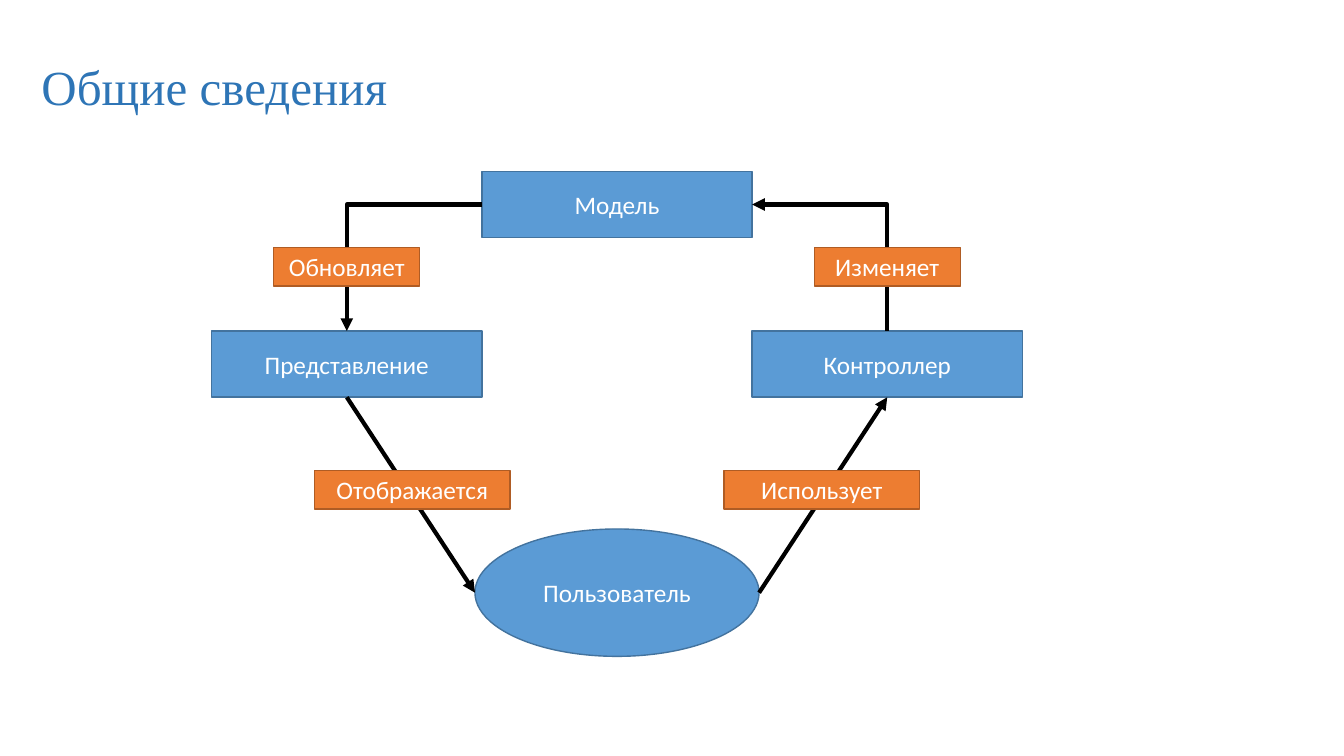
from pptx import Presentation
from pptx.dml.color import RGBColor
from pptx.enum import shapes, text
from pptx.oxml.ns import qn
from pptx.util import Cm, Pt
from lxml import etree

RECT = shapes.MSO_SHAPE.RECTANGLE
OVAL = shapes.MSO_SHAPE.OVAL
TOP, LEFT, BOTTOM, RIGHT = range(4)
MID = 15.55   # centre line of the diagram
STEP = 6.81   # from the centre line to a side column


def color(code):
    return RGBColor.from_string(code)


def node(kind, label, mid, top, wide, high, fill, edge):
    box = slide.shapes.add_shape(
        kind, Cm(mid - wide / 2), Cm(top), Cm(wide), Cm(high))
    box.shadow.inherit = False
    box.fill.solid()
    box.fill.fore_color.rgb = color(fill)
    box.line.color.rgb = color(edge)
    box.line.width = Pt(1)
    frame = box.text_frame
    frame.text = label
    frame.vertical_anchor = text.MSO_ANCHOR.MIDDLE
    para = frame.paragraphs[0]
    para.alignment = text.PP_ALIGN.CENTER
    font = para.runs[0].font
    font.name, font.size = "Calibri", Pt(18)
    font.color.rgb = color("FFFFFF")
    return box


deck = Presentation()
deck.slide_width, deck.slide_height = Cm(33.87), Cm(19.05)
slide = deck.slides.add_slide(deck.slide_layouts[5])

# Title
title = slide.shapes.title
title.left, title.top, title.width, title.height = Cm(0.79), Cm(1.3), Cm(9.3), Cm(1.75)
frame = title.text_frame
frame.text = "Общие сведения"
frame.word_wrap = False
frame.auto_size = text.MSO_AUTO_SIZE.NONE
frame.vertical_anchor = text.MSO_ANCHOR.TOP
para = frame.paragraphs[0]
para.alignment = text.PP_ALIGN.LEFT
font = para.runs[0].font
font.name, font.size = "Times New Roman", Pt(35)
font.color.rgb = color("2E75B6")

# Components and user
blue = ("5B9BD5", "43739E")
model = node(RECT, "Модель", MID, 4.32, STEP, 1.67, *blue)
control = node(RECT, "Контроллер", MID + STEP, 8.34, STEP, 1.67, *blue)
view = node(RECT, "Представление", MID - STEP, 8.34, STEP, 1.67, *blue)
user = node(OVAL, "Пользователь", MID, 13.33, 7.16, 3.21, *blue)

# Arrows: the connector settles on the box sides it is glued to
bent, line = shapes.MSO_CONNECTOR.ELBOW, shapes.MSO_CONNECTOR.STRAIGHT
level = user.top + user.height // 2
edge = user.left + user.width
links = []
for kind, start, end in [
    (bent, (model, LEFT), (view, TOP)),
    (line, (view, BOTTOM), None),
    (line, None, (control, BOTTOM)),
    (bent, (control, TOP), (model, RIGHT)),
]:
    link = slide.shapes.add_connector(kind, edge, level, user.left, level)
    if start:
        link.begin_connect(*start)
    if end:
        link.end_connect(*end)
    link.line.color.rgb = color("000000")
    link.line.width = Pt(3)
    tip = etree.SubElement(link.line._get_or_add_ln(), qn("a:tailEnd"))
    tip.set("type", "triangle")
    props = link._element.spPr
    etree.SubElement(props, qn("a:effectLst"))
    if kind == bent:
        props.find(qn("a:prstGeom")).set("prst", "bentConnector2")
    links.append(link)

# The last elbow leaves upwards, so its frame is turned about its centre
turn = links[-1]
wide, high = turn.width, turn.height
turn.left += (wide - high) // 2
turn.top += (high - wide) // 2
turn.width, turn.height = high, wide
form = turn._element.spPr.find(qn("a:xfrm"))
form.set("rot", "16200000")
form.set("flipH", "0")
form.set("flipV", "1")

# Arrow labels
for label, shift, top, wide in [
    ("Обновляет", -STEP, 6.24, 3.68),
    ("Отображается", -5.16, 11.86, 4.93),
    ("Использует", 5.16, 11.86, 4.93),
    ("Изменяет", STEP, 6.24, 3.68),
]:
    node(RECT, label, MID + shift, top, wide, 0.97, "ED7D31", "AF5C24")

deck.save("out.pptx")
